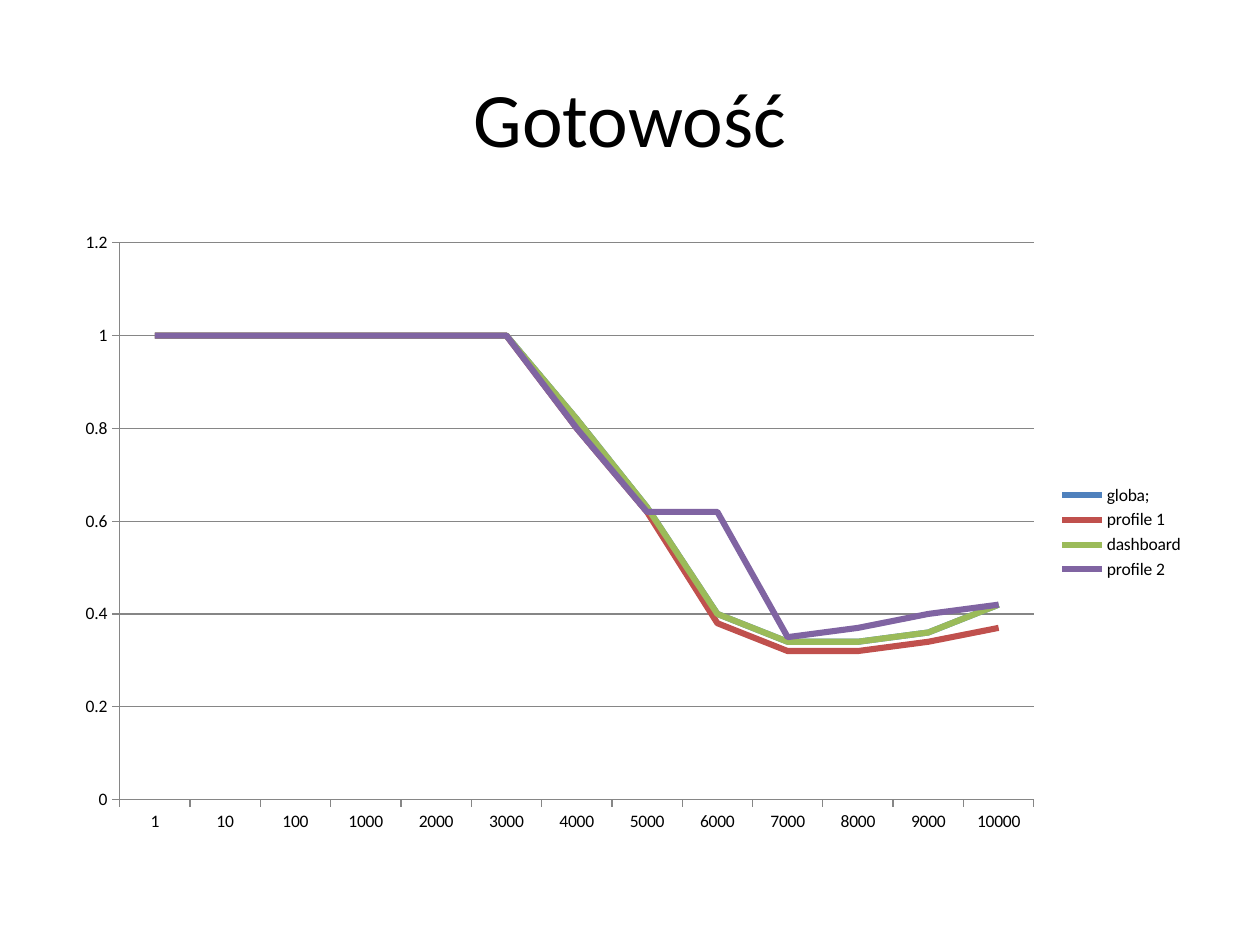
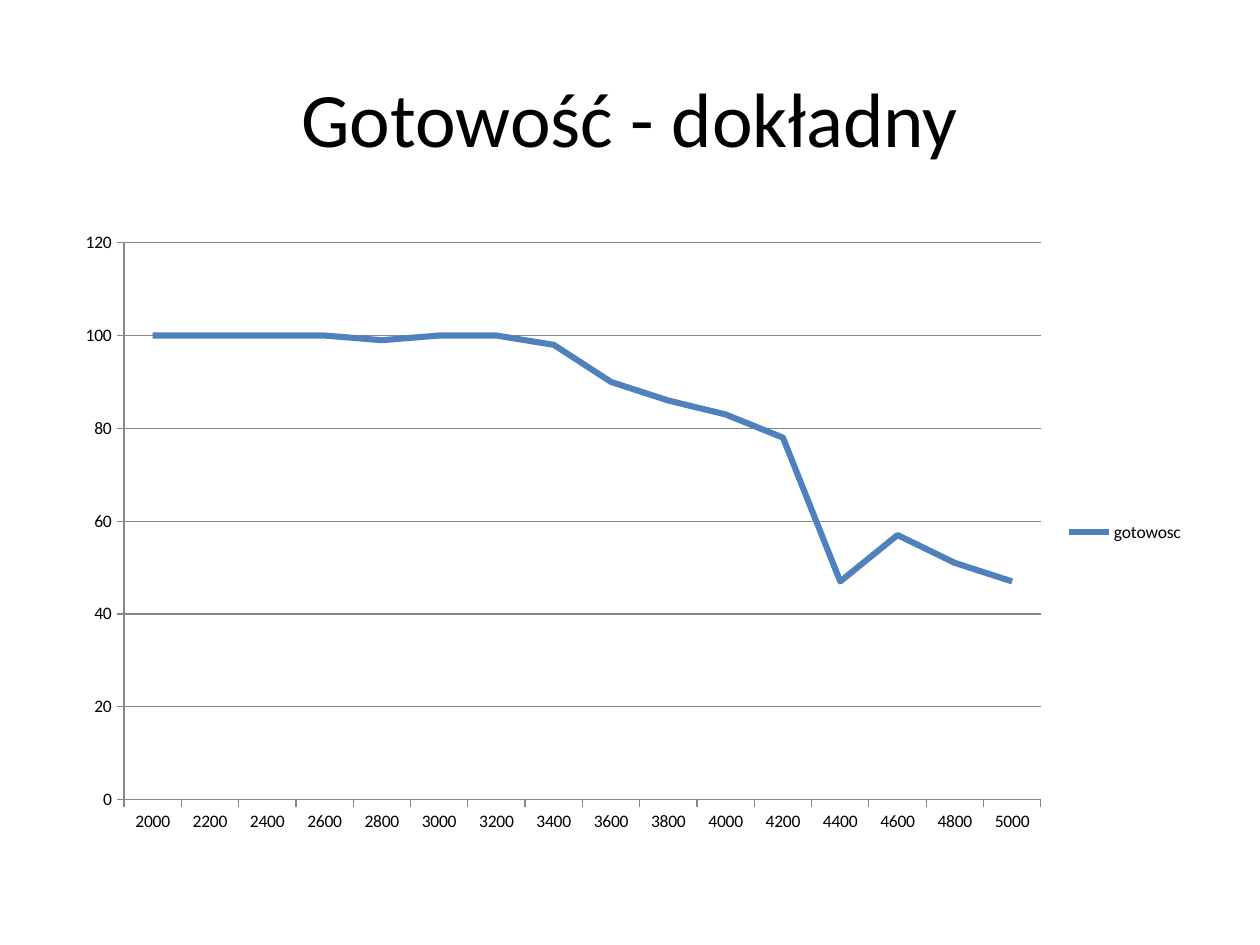
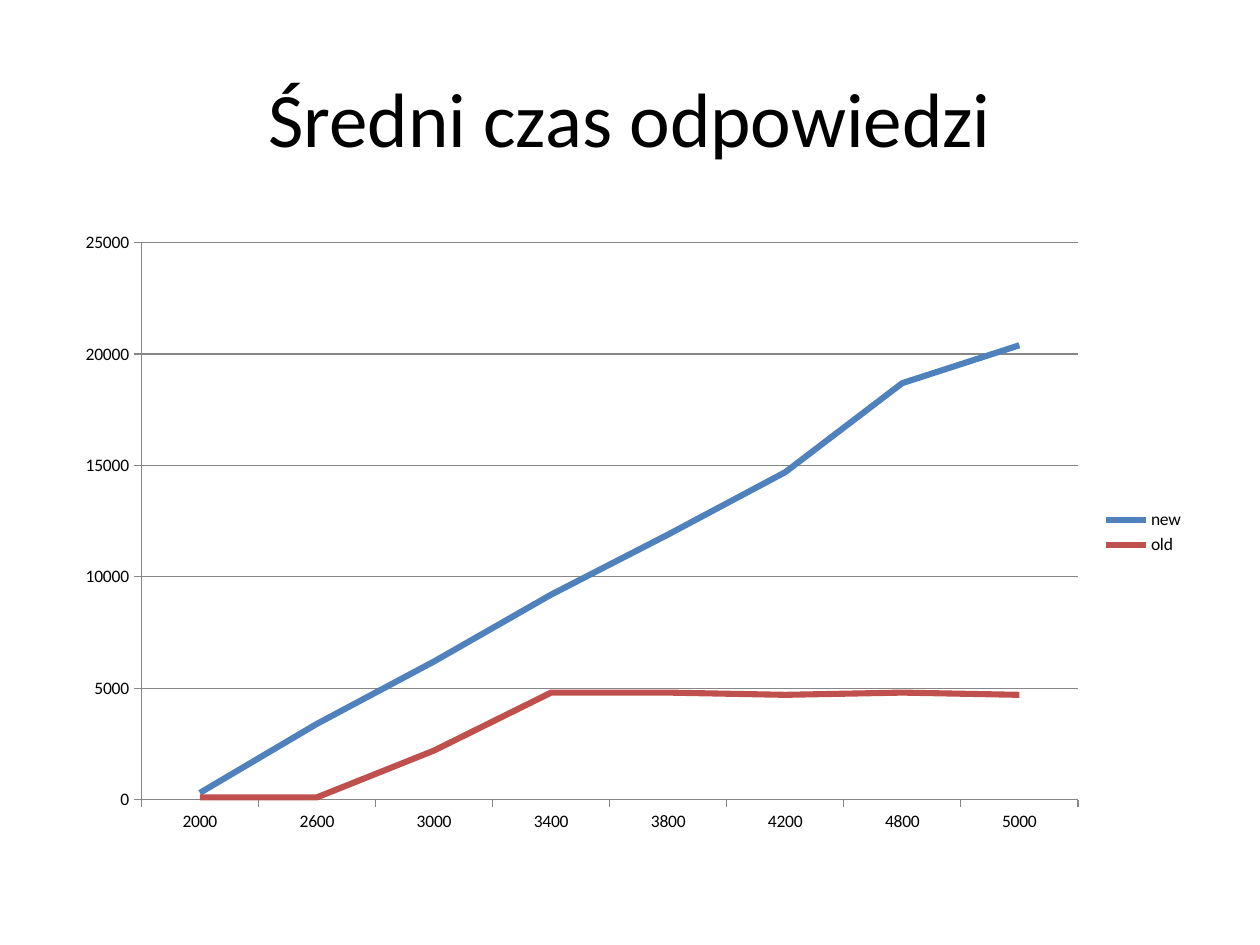
from pptx import Presentation
from pptx.chart.data import CategoryChartData
from pptx.dml.color import RGBColor
from pptx.enum.chart import XL_CHART_TYPE, XL_LEGEND_POSITION, XL_TICK_MARK
from pptx.enum.text import MSO_ANCHOR, PP_ALIGN
from pptx.util import Pt

LINE_CHART = XL_CHART_TYPE.LINE
LEGEND_RIGHT = XL_LEGEND_POSITION.RIGHT
TICK_OUTSIDE = XL_TICK_MARK.OUTSIDE
TICK_NONE = XL_TICK_MARK.NONE
MIDDLE = MSO_ANCHOR.MIDDLE
CENTER = PP_ALIGN.CENTER

COLORS = {
    "background": "FFFFFF", "text": "000000", "axis": "868686",
    "blue": "4F81BD", "red": "C0504D", "green": "9BBB59", "purple": "8064A2",
}
SERIES_COLORS = ["blue", "red", "green", "purple"]
FONT = "Calibri"
SLIDE_SIZE = (720, 540)
TITLE_BOX = (36, 21.6, 648, 90)
CHART_BOX = (36, 126, 648, 356.4)

SLIDES = [
    {
        "title": "Gotowość",
        "categories": [1, 10, 100, *range(1000, 10001, 1000)],
        "axis": (1.2, 0.2),
        "series": {
            "globa;": [1, 1, 1, 1, 1, 1, 0.82, 0.63, 0.4, 0.34, 0.34, 0.36, 0.42],
            "profile 1": [1, 1, 1, 1, 1, 1, 0.8, 0.62, 0.38, 0.32, 0.32, 0.34, 0.37],
            "dashboard": [1, 1, 1, 1, 1, 1, 0.82, 0.63, 0.4, 0.34, 0.34, 0.36, 0.42],
            "profile 2": [1, 1, 1, 1, 1, 1, 0.8, 0.62, 0.62, 0.35, 0.37, 0.4, 0.42],
        },
    },
    {
        "title": "Gotowość - dokładny",
        "categories": range(2000, 5001, 200),
        "axis": (120, 20),
        "series": {
            "gotowosc": [100, 100, 100, 100, 99, 100, 100, 98,
                         90, 86, 83, 78, 47, 57, 51, 47],
        },
    },
    {
        "title": "Średni czas odpowiedzi",
        "categories": [2000, 2600, 3000, 3400, 3800, 4200, 4800, 5000],
        "axis": (25000, 5000),
        "series": {
            "new": [300, 3400, 6200, 9200, 11900, 14700, 18700, 20400],
            "old": [100, 100, 2200, 4800, 4800, 4700, 4800, 4700],
        },
    },
]


def color(name):
    return RGBColor.from_string(COLORS[name])


def apply(target, **values):
    for name, value in values.items():
        setattr(target, name, value)


def points(box):
    return [Pt(length) for length in box]


def style_font(font, size):
    apply(font, name=FONT, size=Pt(size))
    font.color.rgb = color("text")


def style_line(line, name, width):
    line.color.rgb = color(name)
    line.width = Pt(width)


def add_title(slide, text):
    frame = slide.shapes.add_textbox(*points(TITLE_BOX)).text_frame
    apply(frame, word_wrap=True, vertical_anchor=MIDDLE)
    paragraph = frame.paragraphs[0]
    paragraph.alignment = CENTER
    run = paragraph.add_run()
    run.text = text
    style_font(run.font, 44)


def add_line_chart(slide, content):
    data = CategoryChartData()
    data.categories = [str(category) for category in content["categories"]]
    for name, values in content["series"].items():
        data.add_series(name, values)
    chart = slide.shapes.add_chart(LINE_CHART, *points(CHART_BOX), data).chart
    apply(chart, has_title=False, has_legend=True)
    apply(chart.legend, position=LEGEND_RIGHT, include_in_layout=False)
    style_font(chart.font, 10)

    maximum, step = content["axis"]
    apply(chart.value_axis, minimum_scale=0, maximum_scale=maximum,
          major_unit=step, has_major_gridlines=True)
    style_line(chart.value_axis.major_gridlines.format.line, "axis", 0.75)
    for axis in (chart.category_axis, chart.value_axis):
        apply(axis, major_tick_mark=TICK_OUTSIDE, minor_tick_mark=TICK_NONE)
        style_line(axis.format.line, "axis", 0.75)

    plot = chart.plots[0]
    plot.vary_by_categories = False
    for series, name in zip(plot.series, SERIES_COLORS):
        series.smooth = False
        style_line(series.format.line, name, 3.5)


presentation = Presentation()
presentation.slide_width, presentation.slide_height = points(SLIDE_SIZE)
for content in SLIDES:
    slide = presentation.slides.add_slide(presentation.slide_layouts[6])
    slide.background.fill.solid()
    slide.background.fill.fore_color.rgb = color("background")
    add_title(slide, content["title"])
    add_line_chart(slide, content)
presentation.save("out.pptx")
